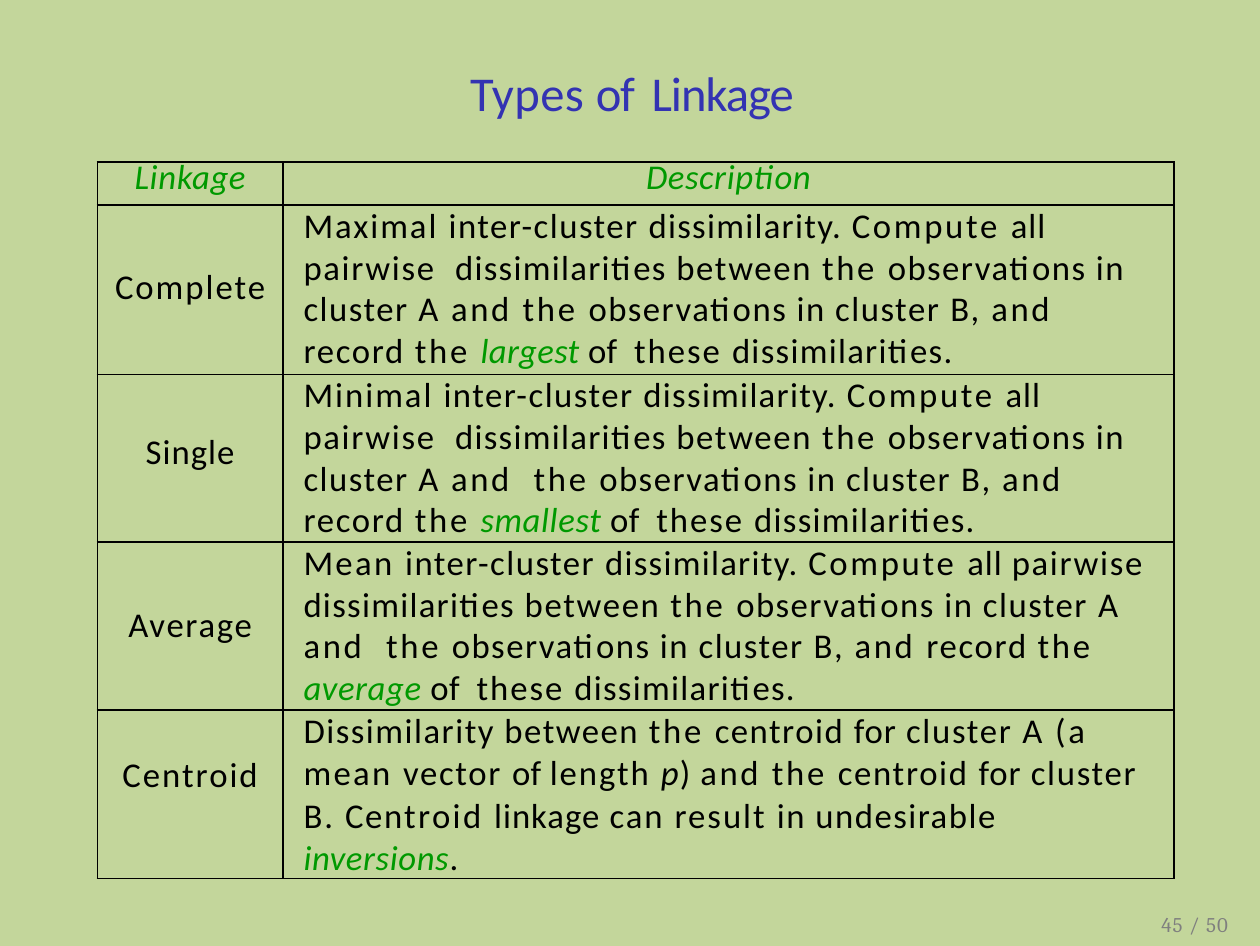
from lxml.etree import SubElement
from pptx import Presentation
from pptx.dml.color import RGBColor
from pptx.enum.text import PP_ALIGN as Align
from pptx.oxml.ns import qn
from pptx.util import Pt

BACKGROUND = RGBColor(0xC3, 0xD6, 0x9B)
BLUE = RGBColor(0x33, 0x33, 0xB2)
GREEN = RGBColor(0x00, 0x99, 0x00)
BLACK = RGBColor(0, 0, 0)
GRAY = RGBColor(0x7F, 0x7F, 0x7F)

# Content: each run is (text, letter spacing in points, style)
TITLE = [("Types ", 0.1), ("of", -0.4), (" ", 1.6), ("Linkage", -0.3)]
PAGE_NUMBER = [("45 ", 0.3), ("/ ", 0.3), ("50", 0.3)]
HEADINGS = ["Linkage", "Description"]


def pairwise_rule(measure, measure_spacing, joint, result, result_spacing):
    """Description shared by the linkages that compare all pairs."""
    return [
        (measure, measure_spacing), ("inter-cluster ", 0.45), ("dissimilarity. ", 0.4),
        ("Compute ", 0.8), ("all ", 0.3), ("pairwise", 0.5), (" ", 3.3),
        ("dissimilarities ", 0.4), ("between ", 0.5), ("the ", 0.8),
        ("observations in cluster ", 0.45), ("A ", 0.7), ("and", 0.8), (" ", joint),
        ("the ", 0.8), ("observations in cluster ", 0.45), ("B, ", 0.6), ("and ", 0.8),
        ("record ", 0.5), ("the ", 0.8), (result, result_spacing, "key"),
        ("of", 0.1), (" ", 2.5), ("these ", 0.6), ("dissimilarities.", 0.4),
    ]


CENTROID_RULE = [
    ("Dissimilarity between ", 0.45), ("the ", 0.8), ("centroid ", 0.45), ("for ", 0.3),
    ("cluster ", 0.5), ("A ", 0.7), ("(a ", 0.8), ("mean ", 0.7), ("vector ", 0.5),
    ("of ", 0.1), ("length ", 0.6), ("p", 0.3, "italic"), (") ", 0.3),
    ("and the ", 0.8), ("centroid ", 0.5), ("for ", 0.3), ("cluster ", 0.5),
    ("B. ", 0.6), ("Cen", 0.5), ("troid ", 0.7), ("linkage ", 0.3),
    ("can result ", 0.6), ("in undesirable ", 0.45), ("inversions", 0.2, "key"), (".", 0.2),
]

# Linkage, letter spacing, space above the label, row height, description
LINKAGES = [
    ("Complete", 0.6, 17.7, 48.8, pairwise_rule("Maximal ", 0.6, 0.8, "largest ", 0.1)),
    ("Single", 0.3, 16.4, 48.2, pairwise_rule("Minimal ", 0.6, 3.9, "smallest ", 0.2)),
    ("Average", 0.5, 18, 48.4, pairwise_rule("Mean ", 0.7, 3.9, "average ", 0.2)),
    ("Centroid", 0.6, 12.9, 48.5, CENTROID_RULE),
]

# Layout in points
TABLE_LEFT, TABLE_TOP = 28.1, 46.7
COLUMN_WIDTHS = [53.4, 256.8]
HEADING_HEIGHT = 12.4


def add_runs(para, runs, size=10, color=BLACK, font="Calibri"):
    for text, spacing, *style in runs:
        span = para.add_run()
        span.text = text
        span.font.name = font
        span.font.size = Pt(size)
        span.font.italic = bool(style)
        span.font.color.rgb = GREEN if "key" in style else color
        span.font._element.set("spc", str(round(spacing * 100)))


def set_margins(holder, left=0, top=0, right=0):
    holder.margin_left, holder.margin_top = Pt(left), Pt(top)
    holder.margin_right, holder.margin_bottom = Pt(right), 0


def add_text(page, left, top, width, height, margins):
    box = page.shapes.add_textbox(Pt(left), Pt(top), Pt(width), Pt(height))
    box.text_frame.word_wrap = True
    set_margins(box.text_frame, *margins)
    return box.text_frame.paragraphs[0]


def add_borders(cell):
    properties = cell._tc.get_or_add_tcPr()
    for position, side in enumerate(("lnL", "lnR", "lnT", "lnB")):
        line = properties.makeelement(qn("a:" + side), {"w": str(Pt(0.5))})
        properties.insert(position, line)
        fill = SubElement(line, qn("a:solidFill"))
        SubElement(fill, qn("a:srgbClr"), val=str(BLACK))


def fill_cell(cell, runs, margins=(0, 0, 0), align=Align.CENTER, line=None):
    set_margins(cell, *margins)
    cell.fill.background()
    add_borders(cell)
    para = cell.text_frame.paragraphs[0]
    para.alignment = align
    if line:
        para.line_spacing = Pt(line)
    add_runs(para, runs)


def main():
    deck = Presentation()
    deck.slide_width, deck.slide_height = Pt(363), Pt(272.5)
    page = deck.slides.add_slide(deck.slide_layouts[6])
    page.background.fill.solid()
    page.background.fill.fore_color.rgb = BACKGROUND

    # Title
    para = add_text(page, 127.4, 16.6, 107.3, 18, (2, 1.4))
    para.alignment = Align.CENTER
    para.space_before = Pt(1.4)
    add_runs(para, TITLE, 14, BLUE)

    # Table
    heights = [HEADING_HEIGHT] + [linkage[3] for linkage in LINKAGES]
    table = page.shapes.add_table(
        len(heights), len(COLUMN_WIDTHS), Pt(TABLE_LEFT), Pt(TABLE_TOP),
        Pt(sum(COLUMN_WIDTHS)), Pt(sum(heights))).table
    table.first_row = table.horz_banding = False
    for column, width in zip(table.columns, COLUMN_WIDTHS):
        column.width = Pt(width)
    for row, height in zip(table.rows, heights):
        row.height = Pt(height)
    for index, heading in enumerate(HEADINGS):
        fill_cell(table.cell(0, index), [(heading, 0.2, "key")], line=10.6)
    for index, (name, spacing, above, _, rule) in enumerate(LINKAGES, 1):
        fill_cell(table.cell(index, 0), [(name, spacing)], (0, above))
        fill_cell(table.cell(index, 1), rule, (6, 0.3, 5), Align.LEFT,
                  None if rule is CENTROID_RULE else 12)

    # Page number
    para = add_text(page, 331.9, 263, 24.5, 7.9, (2.7, 0))
    para.line_spacing = Pt(6.7)
    add_runs(para, PAGE_NUMBER, 6, GRAY, "Cambria")

    deck.save("out.pptx")


if __name__ == "__main__":
    main()
